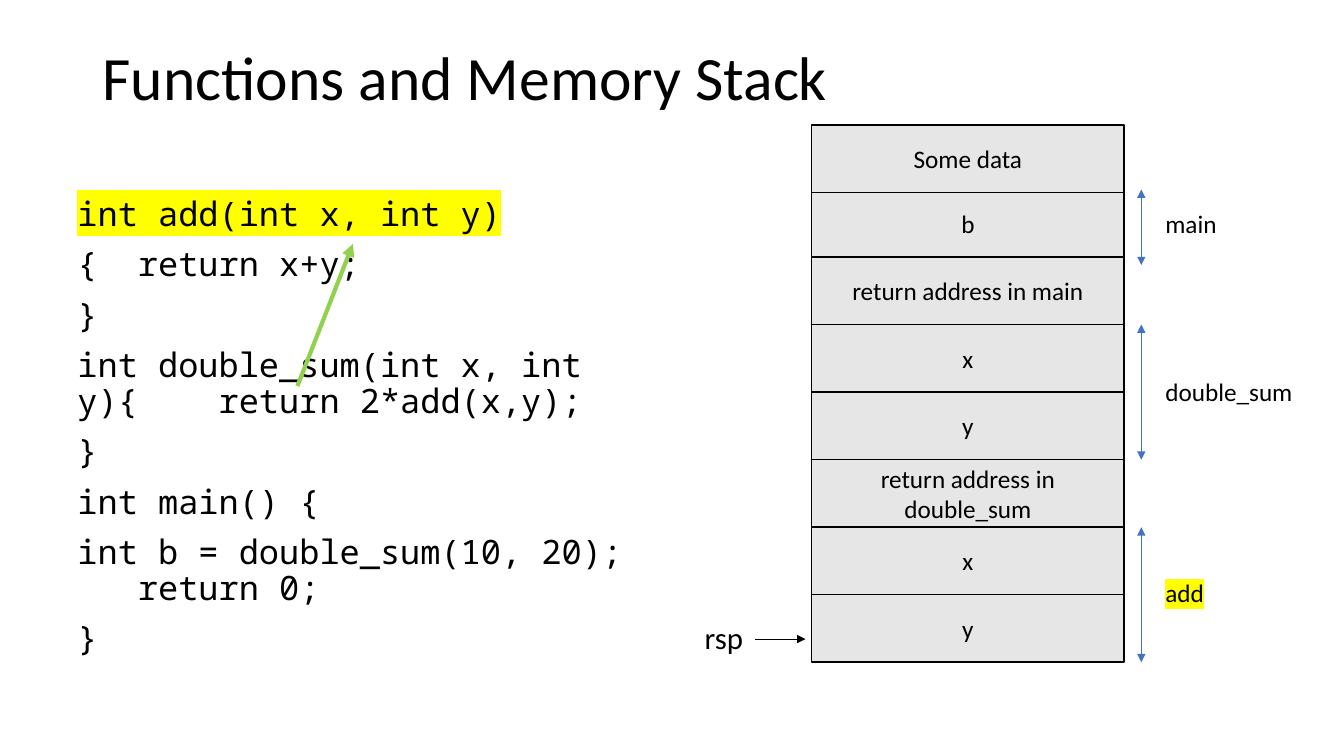
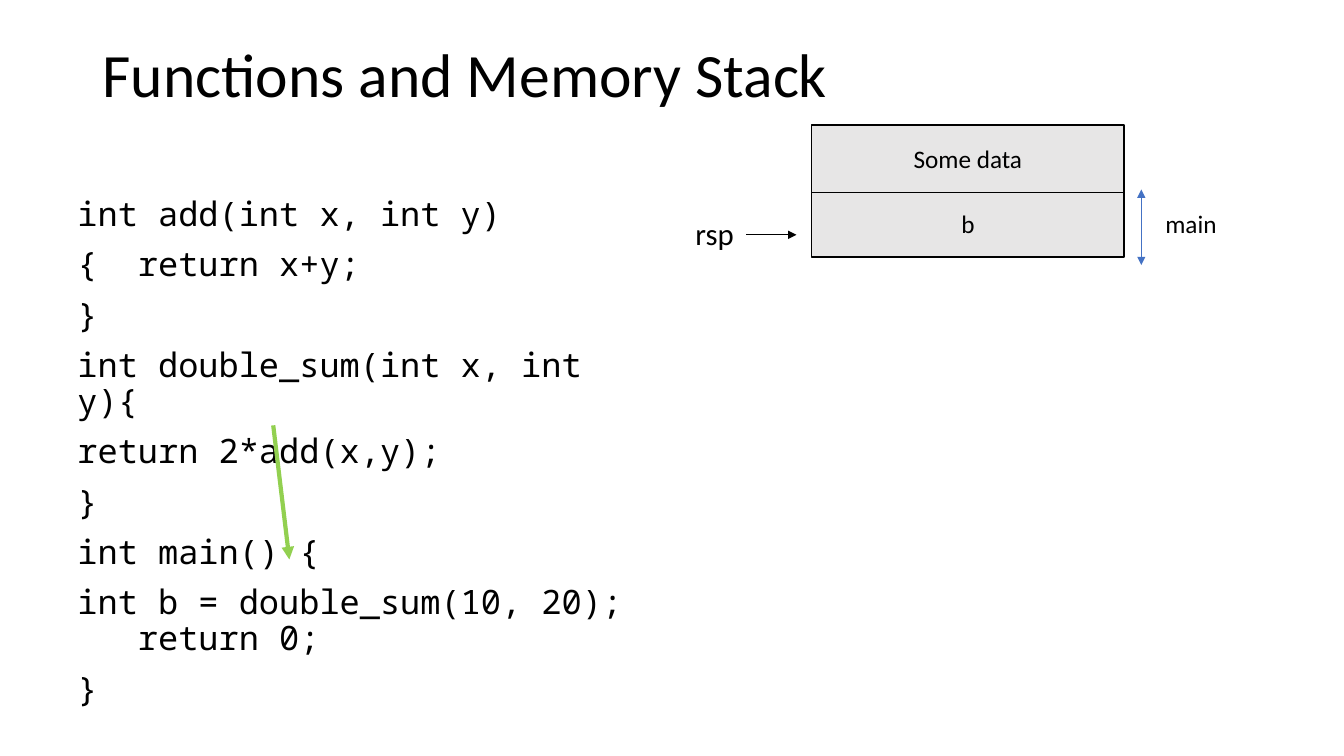
"""Build two slides that follow a call stack through nested function calls."""
from dataclasses import dataclass
from typing import Any

from lxml import etree
from pptx import Presentation
from pptx.dml.color import RGBColor
from pptx.enum.shapes import MSO_CONNECTOR, MSO_SHAPE
from pptx.enum.text import MSO_ANCHOR, PP_ALIGN
from pptx.oxml.ns import qn
from pptx.util import Inches, Pt

STRAIGHT = MSO_CONNECTOR.STRAIGHT
RECTANGLE = MSO_SHAPE.RECTANGLE
MIDDLE, TOP = MSO_ANCHOR.MIDDLE, MSO_ANCHOR.TOP
CENTER, LEFT = PP_ALIGN.CENTER, PP_ALIGN.LEFT
RIGHT_SIDE = 3

COLORS = {
    "ink": "000000",
    "cell": "E7E6E6",
    "extent": "4472C4",
    "call": "92D050",
    "highlight": "FFFF00",
}
SPACED = {"line_spacing": 0.9, "space_before": Pt(10)}
TITLE_PARAGRAPH = {"line_spacing": 0.9, "alignment": LEFT}
CENTERED = {"alignment": CENTER}
FLUSH_LEFT = {"alignment": LEFT}
TITLE_FONT = {"name": "Calibri", "size": Pt(44)}
CODE_FONT = {"name": "Noto Sans Mono", "size": Pt(24)}
LABEL_FONT = {"name": "Calibri", "size": Pt(18)}
POINTER_FONT = {"name": "Calibri", "size": Pt(22)}

STACK_LEFT, STACK_WIDTH = 8.05, 3.1
BASE_TOP, FRAMES_TOP, CELL_HEIGHT = 1.24, 1.88, 0.67
EXTENT_X, OWNER_LEFT = 11.32, 11.46
POINTER_WIDTH, POINTER_HEIGHT, POINTER_REACH = 0.6, 0.5, 0.5


@dataclass(frozen=True)
class Line:
    """A line of text, marked when it is the current one."""
    text: str
    marked: bool = False


@dataclass(frozen=True)
class Frame:
    """The stretch of stack that belongs to one function."""
    owner: Line
    first_cell: int
    length: float
    label_top: float
    label_width: float


@dataclass(frozen=True)
class Arrow:
    """A straight arrow from one point to another."""
    start: tuple[float, float]
    end: tuple[float, float]
    color: str
    weight: float
    both_ends: bool = False


@dataclass(frozen=True)
class StackSlide:
    """One step of the program and the stack at that moment."""
    title_top: float
    code: list[Line]
    cells: list[str]
    frames: list[Frame]
    pointer: tuple[float, float]
    call: Arrow


def assign(target: Any, values: dict[str, Any]) -> None:
    """Set every named attribute on the target."""
    for name, value in values.items():
        setattr(target, name, value)


def rgb(color: str) -> RGBColor:
    """Look up a palette colour."""
    return RGBColor.from_string(COLORS[color])


def write(shape: Any, lines: list[Line], font: dict[str, Any],
          layout: dict[str, Any], anchor: Any = TOP) -> None:
    """Write the lines into a shape, one paragraph each."""
    frame = shape.text_frame
    assign(frame, {"word_wrap": True, "vertical_anchor": anchor})
    for index, line in enumerate(lines):
        paragraph = frame.add_paragraph() if index else frame.paragraphs[0]
        assign(paragraph, layout)
        run = paragraph.add_run()
        run.text = line.text
        assign(run.font, font)
        run.font.color.rgb = rgb("ink")
        if line.marked:
            highlight = etree.Element(qn("a:highlight"))
            etree.SubElement(highlight, qn("a:srgbClr"), val=COLORS["highlight"])
            run.font.fill._xPr.find(qn("a:solidFill")).addnext(highlight)


def add_text(slide: Any, box: tuple[float, float, float, float], lines: list[Line],
             font: dict[str, Any], layout: dict[str, Any], anchor: Any = TOP) -> Any:
    """Add a text box with the given lines."""
    text = slide.shapes.add_textbox(*map(Inches, box))
    write(text, lines, font, layout, anchor)
    return text


def add_arrow(slide: Any, arrow: Arrow) -> Any:
    """Draw an arrow with one or two heads."""
    connector = slide.shapes.add_connector(
        STRAIGHT, *map(Inches, (*arrow.start, *arrow.end)))
    connector.line.color.rgb = rgb(arrow.color)
    connector.line.width = Pt(arrow.weight)
    outline = connector.line._get_or_add_ln()
    for end in ("a:headEnd", "a:tailEnd") if arrow.both_ends else ("a:tailEnd",):
        etree.SubElement(outline, qn(end), type="triangle")
    etree.SubElement(connector._element.spPr, qn("a:effectLst"))
    return connector


def add_cell(slide: Any, top: float, content: str) -> None:
    """Draw one cell of the stack."""
    cell = slide.shapes.add_shape(
        RECTANGLE, *map(Inches, (STACK_LEFT, top, STACK_WIDTH, CELL_HEIGHT)))
    cell.shadow.inherit = False
    cell.fill.solid()
    cell.fill.fore_color.rgb = rgb("cell")
    cell.line.color.rgb = rgb("ink")
    cell.line.width = Pt(1)
    write(cell, [Line(content)], LABEL_FONT, CENTERED, MIDDLE)


def add_frame(slide: Any, frame: Frame) -> None:
    """Mark the extent of a function's frame and name its owner."""
    top = FRAMES_TOP + frame.first_cell * CELL_HEIGHT
    add_arrow(slide, Arrow((EXTENT_X, top), (EXTENT_X, top + frame.length),
                           "extent", 0.5, both_ends=True))
    add_text(slide, (OWNER_LEFT, frame.label_top, frame.label_width, 0.4),
             [frame.owner], LABEL_FONT, FLUSH_LEFT)


def add_pointer(slide: Any, left: float, top: float) -> None:
    """Label the stack pointer and aim it at the stack."""
    label = add_text(slide, (left, top, POINTER_WIDTH, POINTER_HEIGHT),
                     [Line("rsp")], POINTER_FONT, FLUSH_LEFT)
    start, middle = left + POINTER_WIDTH, top + POINTER_HEIGHT / 2
    arrow = add_arrow(slide, Arrow((start, middle), (start + POINTER_REACH, middle),
                                   "ink", 0.5))
    arrow.begin_connect(label, RIGHT_SIDE)


def add_stack_slide(deck: Any, step: StackSlide) -> None:
    """Add the slide for one step of the program."""
    slide = deck.slides.add_slide(deck.slide_layouts[6])
    add_text(slide, (0.92, step.title_top, 11.5, 1.45),
             [Line("Functions and Memory Stack")], TITLE_FONT, TITLE_PARAGRAPH, MIDDLE)
    add_text(slide, (0.67, 1.91, 5.67, 4.84), step.code, CODE_FONT, SPACED)
    for index, content in enumerate(step.cells):
        add_cell(slide, FRAMES_TOP + index * CELL_HEIGHT, content)
    add_cell(slide, BASE_TOP, "Some data")
    for frame in step.frames:
        add_frame(slide, frame)
    add_pointer(slide, *step.pointer)
    add_arrow(slide, step.call)


MAIN_FRAME = Frame(Line("main"), 0, 0.75, 2.02, 0.96)
ADD_BODY = [Line("{  return x+y;"), Line("}")]
MAIN_CODE = [
    Line("}"),
    Line("int main() {"),
    Line("int b = double_sum(10, 20);    return 0;"),
    Line("}"),
]
STEPS = [
    StackSlide(
        title_top=0.07,
        code=[
            Line("int add(int x, int y)", marked=True),
            *ADD_BODY,
            Line("int double_sum(int x, int y){    return 2*add(x,y);"),
            *MAIN_CODE,
        ],
        cells=["b", "return address in main", "x", "y",
               "return address in double_sum", "x", "y"],
        frames=[
            MAIN_FRAME,
            Frame(Line("double_sum"), 2, 2 * CELL_HEIGHT, 3.68, 1.59),
            Frame(Line("add", marked=True), 5, 2 * CELL_HEIGHT, 5.68, 1.59),
        ],
        pointer=(6.89, 6.09),
        call=Arrow((2.95, 3.83), (3.5, 2.42), "call", 3),
    ),
    StackSlide(
        title_top=0.04,
        code=[
            Line("int add(int x, int y)"),
            *ADD_BODY,
            Line("int double_sum(int x, int y){"),
            Line("return 2*add(x,y);"),
            *MAIN_CODE,
        ],
        cells=["b"],
        frames=[MAIN_FRAME],
        pointer=(6.8, 2.08),
        call=Arrow((2.71, 4.22), (2.87, 5.55), "call", 3),
    ),
]


def main() -> None:
    """Build and save the deck."""
    deck = Presentation()
    assign(deck, {"slide_width": Inches(13.33), "slide_height": Inches(7.5)})
    for step in STEPS:
        add_stack_slide(deck, step)
    deck.save("out.pptx")


if __name__ == "__main__":
    main()
